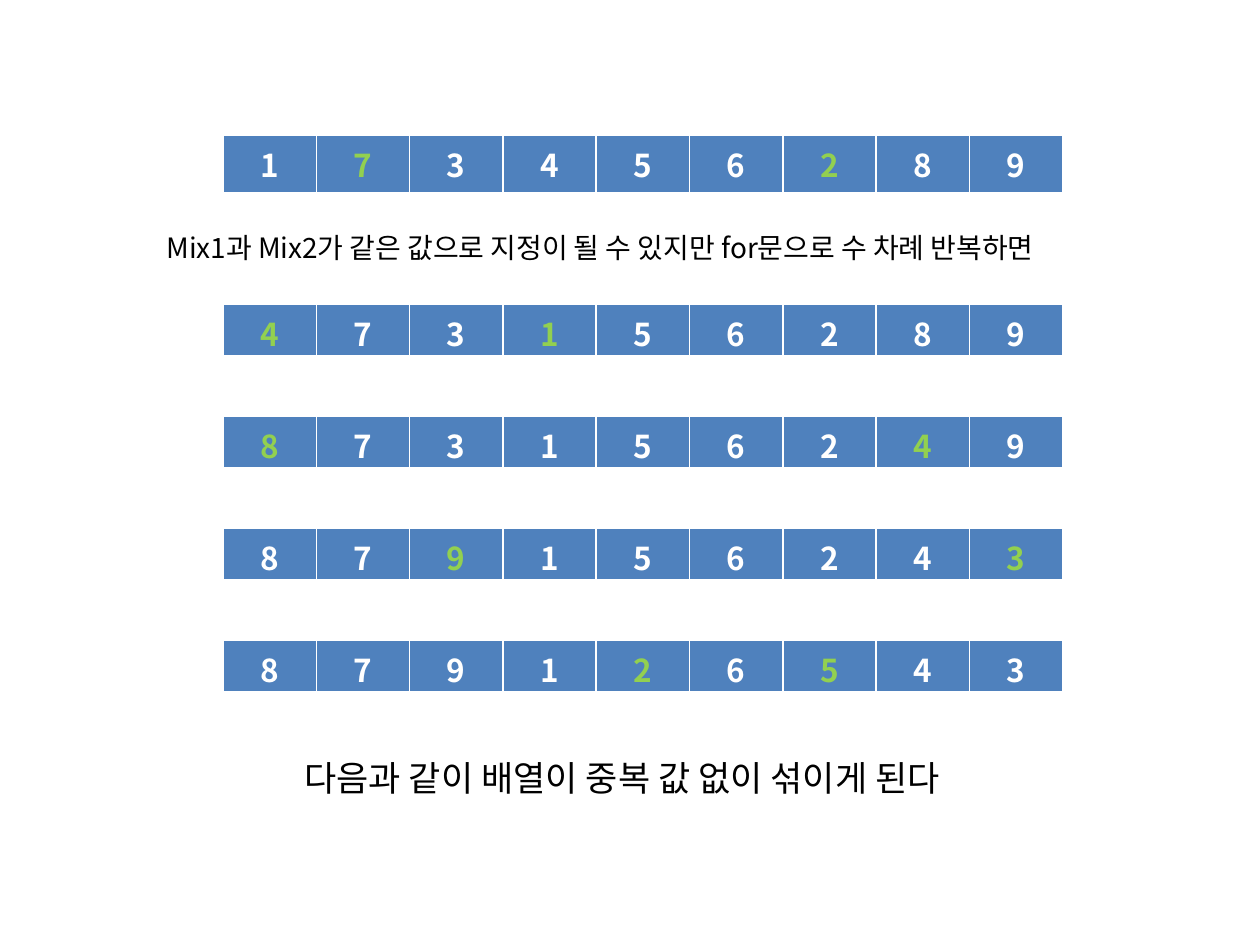
from lxml import etree
from pptx import Presentation
from pptx.dml.color import RGBColor
from pptx.enum.text import MSO_AUTO_SIZE, PP_ALIGN
from pptx.oxml.ns import qn
from pptx.util import Emu, Pt

BLACK = RGBColor(0x00, 0x00, 0x00)
WHITE = RGBColor(0xFF, 0xFF, 0xFF)
BLUE = RGBColor(0x4F, 0x81, 0xBD)
GREEN = RGBColor(0x92, 0xD0, 0x50)

CENTER = PP_ALIGN.CENTER
LEFT = PP_ALIGN.LEFT
GROW = MSO_AUTO_SIZE.SHAPE_TO_FIT_TEXT

FONT = "Noto Sans CJK KR"
EMU_PER_PX = 914400 / 126


def px(length):
    return Emu(round(length * EMU_PER_PX))


class ArraySlide:
    """Holds the text style and the slide being built."""

    def __init__(self, slide, font_name):
        self.slide = slide
        self.font_name = font_name

    def set_text(self, frame, text, size, color, bold=False, align=LEFT):
        paragraph = frame.paragraphs[0]
        paragraph.text = text
        paragraph.alignment = align
        font = paragraph.font
        font.size = Pt(size)
        font.bold = bold
        font.color.rgb = color
        font.name = self.font_name
        # Hangul takes the East Asian typeface
        properties = paragraph._p.pPr.find(qn("a:defRPr"))
        etree.SubElement(properties, qn("a:ea"), typeface=self.font_name)

    def caption(self, text, left, top, width, height, size):
        box = self.slide.shapes.add_textbox(px(left), px(top), px(width), px(height))
        frame = box.text_frame
        frame.word_wrap = True
        frame.auto_size = GROW
        self.set_text(frame, text, size, BLACK)

    def array(self, values, swapped, top, bottom_margin):
        # The default table style supplies the white cell borders
        row = self.slide.shapes.add_table(
            1, len(values), px(223), px(top), px(840), px(52)
        ).table
        for index, value in enumerate(values):
            cell = row.cell(0, index)
            cell.margin_bottom = px(bottom_margin)
            cell.fill.solid()
            cell.fill.fore_color.rgb = BLUE
            color = GREEN if index in swapped else WHITE
            self.set_text(cell.text_frame, str(value), 18, color, True, CENTER)


def main():
    deck = Presentation()
    deck.slide_width, deck.slide_height = px(1260), px(945)
    page = ArraySlide(deck.slides.add_slide(deck.slide_layouts[6]), FONT)

    numbers = list(range(1, 10))

    def swap(first, second):
        numbers[first], numbers[second] = numbers[second], numbers[first]

    # First swap
    first_swap = (1, 6)
    swap(*first_swap)
    page.array(numbers, first_swap, 135, bottom_margin=6)
    page.caption(
        "Mix1과 Mix2가 같은 값으로 지정이 될 수 있지만 for문으로 수 차례 반복하면",
        154, 224, 1002, 47, 16,
    )

    # Repeated swaps, evenly spaced
    for step, pair in enumerate([(0, 3), (0, 7), (2, 8), (4, 6)]):
        swap(*pair)
        page.array(numbers, pair, 304 + 112 * step, bottom_margin=0)

    # Conclusion
    page.caption("다음과 같이 배열이 중복 값 없이 섞이게 된다", 292, 750, 709, 55, 20)

    deck.save("out.pptx")


if __name__ == "__main__":
    main()
